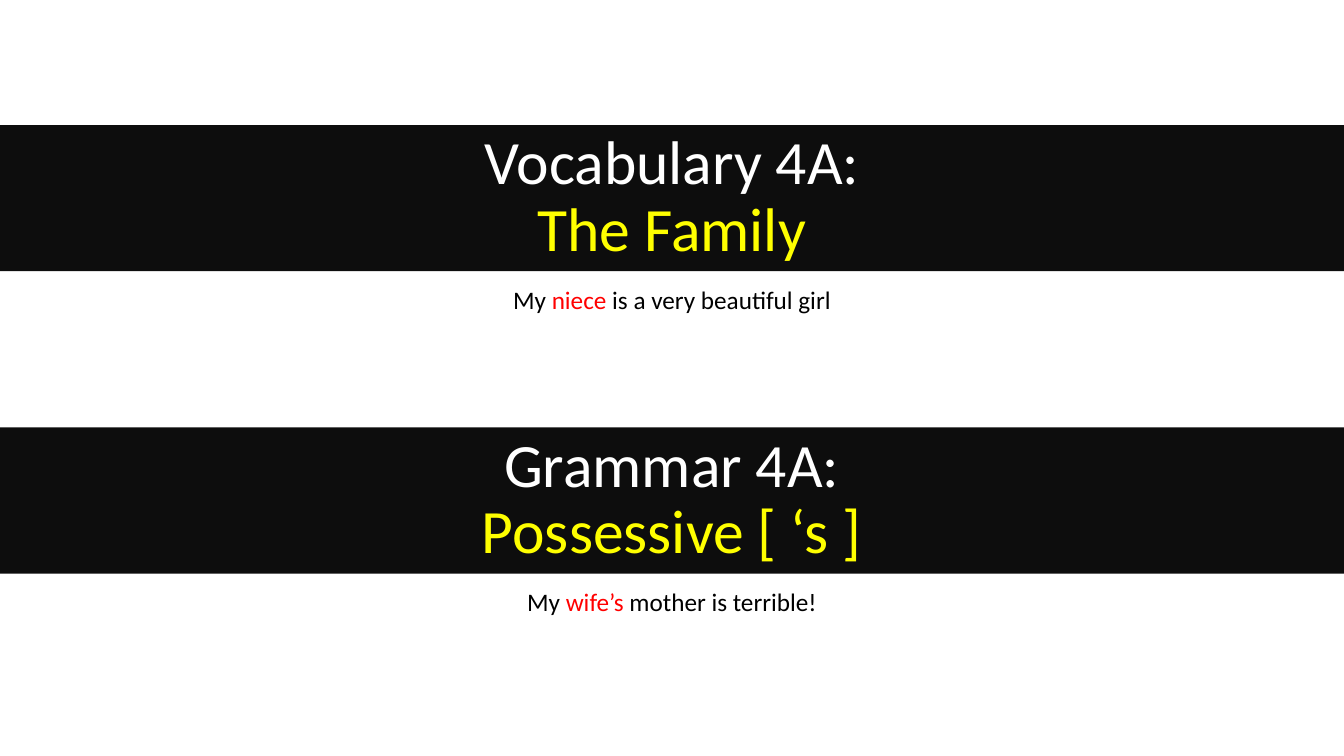
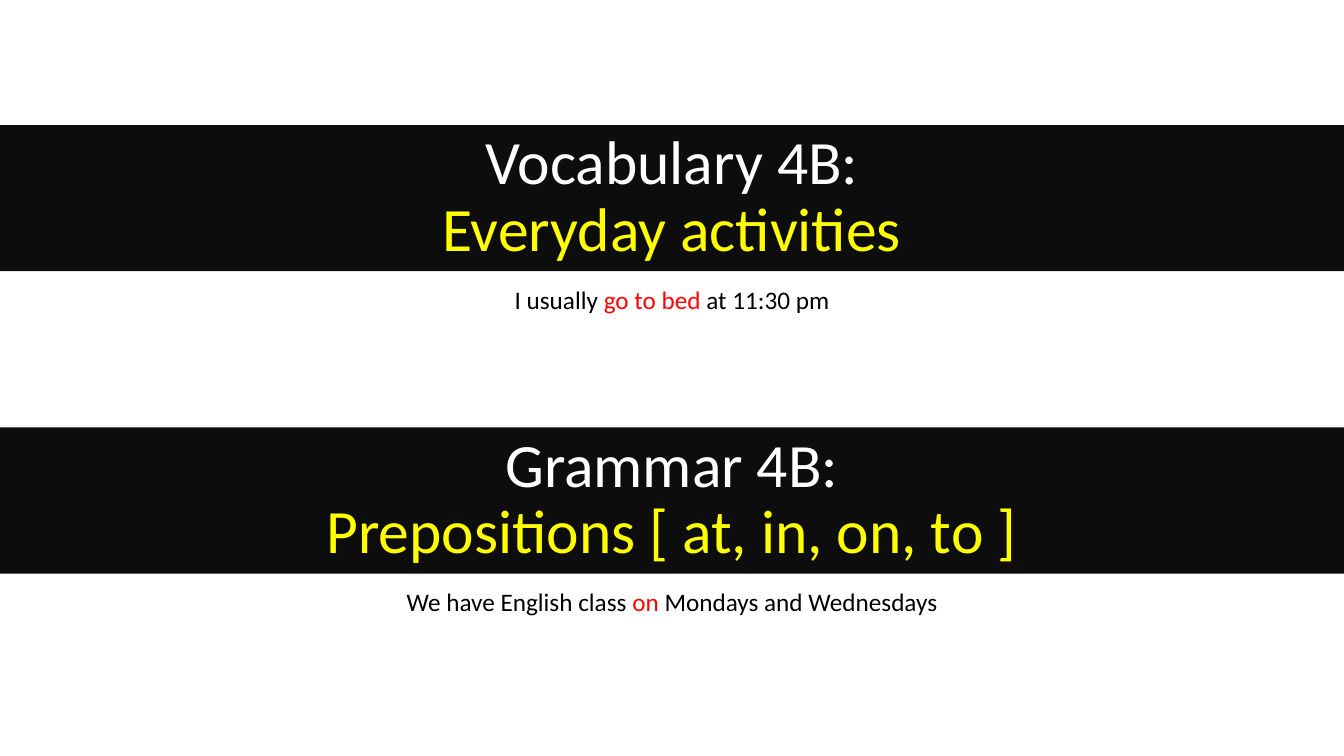
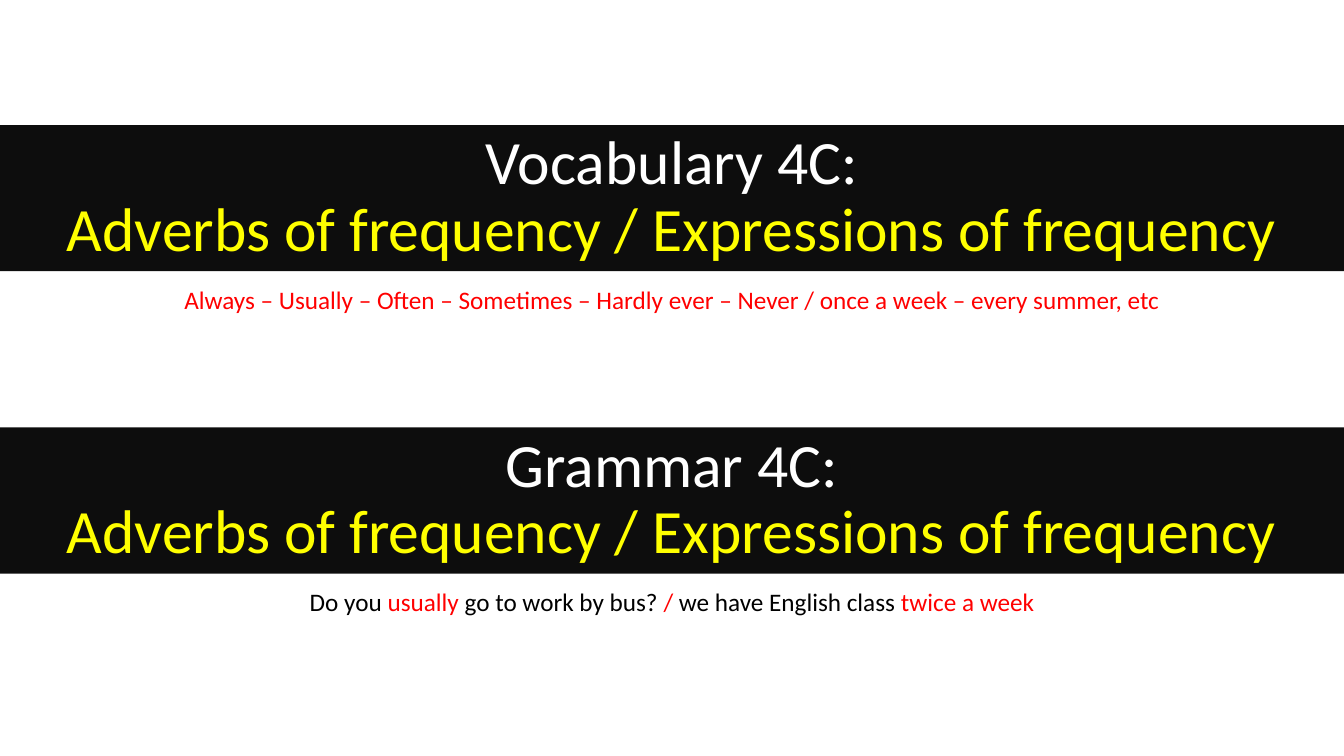
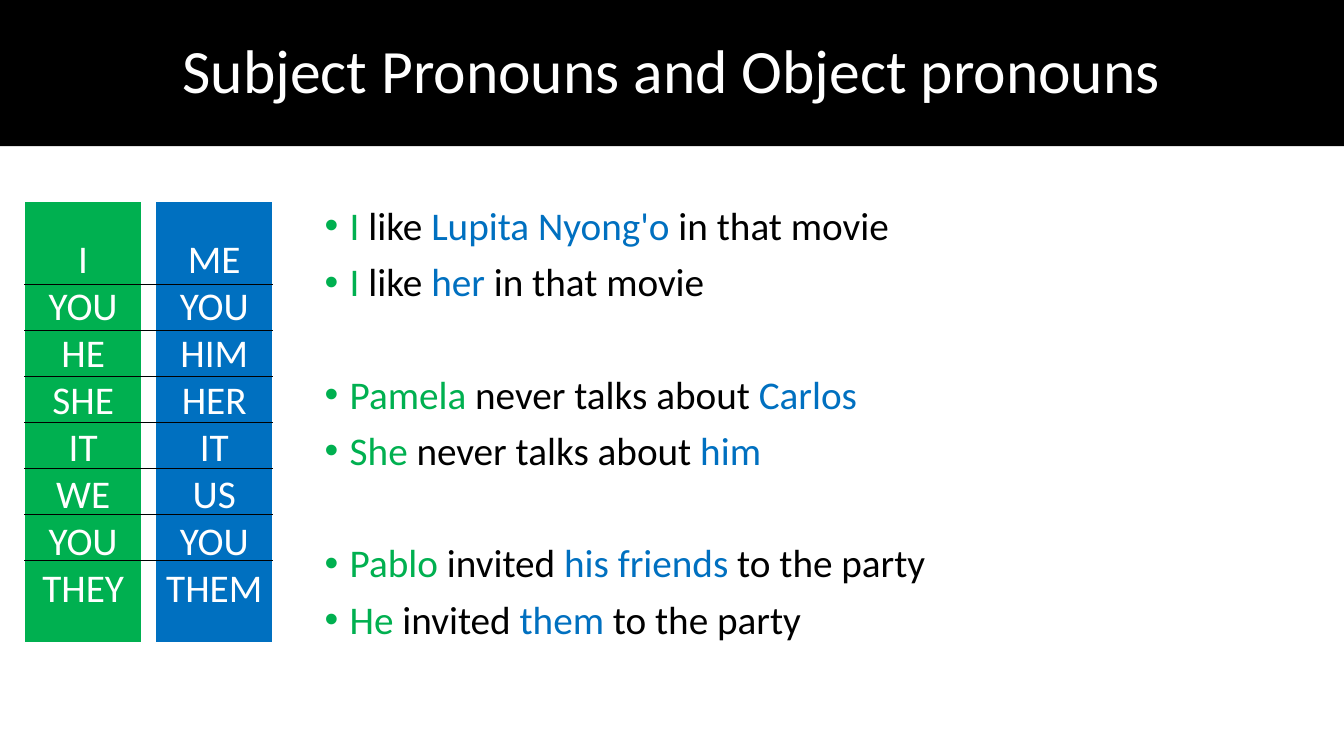
"""Builds four English lesson slides: three unit openers and a pronoun table."""
from dataclasses import dataclass
from typing import NamedTuple

from lxml import etree
from pptx import Presentation
from pptx.dml.color import RGBColor
from pptx.enum.shapes import MSO_CONNECTOR, MSO_SHAPE
from pptx.enum.text import MSO_ANCHOR, PP_ALIGN
from pptx.oxml.ns import qn
from pptx.util import Emu, Pt

RECT = MSO_SHAPE.RECTANGLE
STRAIGHT = MSO_CONNECTOR.STRAIGHT
CENTER, LEFT = PP_ALIGN.CENTER, PP_ALIGN.LEFT
MIDDLE, TOP = MSO_ANCHOR.MIDDLE, MSO_ANCHOR.TOP
EMU_PER_PX = 9144
SLIDE_W, SLIDE_H = 1333, 750
BAND_H = 145


@dataclass(frozen=True)
class Theme:
    """Colours, font and type sizes of the deck."""
    font: str = "Calibri"
    black: str = "000000"
    white: str = "FFFFFF"
    band: str = "0D0D0D"
    yellow: str = "FFFF00"
    red: str = "FF0000"
    green: str = "00B050"
    blue: str = "0070C0"
    title_pt: int = 44
    body_pt: int = 28
    caption_pt: int = 18
    tight: float = 0.9


THEME = Theme()


class Span(NamedTuple):
    """Text in one colour."""
    text: str
    color: str = THEME.black


class Box(NamedTuple):
    """Position and size in px."""
    left: int
    top: int
    width: int
    height: int


class Topic(NamedTuple):
    """A heading band and its example sentence."""
    heading: str
    subject: str
    example: list[Span]


class Column(NamedTuple):
    """A coloured column of pronouns."""
    left: int
    color: str
    words: list[str]


TOPIC_TOPS = (124, 424)
CAPTION_OFFSET, CAPTION_H = 153, 40
COLUMN_TOP, COLUMN_W, COLUMN_H = 200, 117, 438
RULE_FIRST, RULE_LAST = 282, 556
SENTENCES = Box(312, 200, 929, 476)
SENTENCE_GAP, PAIR_GAP = 10, 50
BULLET_INDENT = 25


def red(text: str) -> Span:
    """Return highlighted example text."""
    return Span(text, THEME.red)


def green(text: str) -> Span:
    """Return text marking a subject."""
    return Span(text, THEME.green)


def blue(text: str) -> Span:
    """Return text marking an object."""
    return Span(text, THEME.blue)


UNITS = [
    (Topic("Vocabulary 4A:", "The Family",
           [Span("My "), red("niece"), Span(" is a very beautiful girl")]),
     Topic("Grammar 4A:", "Possessive [ ‘s ]",
           [Span("My "), red("wife’s"), Span(" mother is terrible!")])),
    (Topic("Vocabulary 4B:", "Everyday activities",
           [Span("I usually "), red("go to bed "), Span("at 11:30 pm")]),
     Topic("Grammar 4B:", "Prepositions [ at, in, on, to ]",
           [Span("We have English class "), red("on"), Span(" Mondays and Wednesdays")])),
    (Topic("Vocabulary 4C:", "Adverbs of frequency / Expressions of frequency",
           [red("Always – Usually – Often – Sometimes – Hardly ever – Never"
                " / once a week – every summer, etc")]),
     Topic("Grammar 4C:", "Adverbs of frequency / Expressions of frequency",
           [Span("Do you "), red("usually"), Span(" go to work by bus? "), red("/"),
            Span(" we have English class "), red("twice a week")])),
]

COLUMNS = [
    Column(154, THEME.blue, ["ME", "YOU", "HIM", "HER", "IT", "US", "YOU", "THEM"]),
    Column(24, THEME.green, ["I", "YOU", "HE", "SHE", "IT", "WE", "YOU", "THEY"]),
]

SENTENCE_PAIRS = [
    ([green("I "), Span("like "), blue("Lupita Nyong'o "), Span("in that movie")],
     [green("I "), Span("like "), blue("her"), Span(" in that movie")]),
    ([green("Pamela "), Span("never talks about "), blue("Carlos")],
     [green("She "), Span("never talks about "), blue("him")]),
    ([green("Pablo "), Span("invited "), blue("his friends "), Span("to the party")],
     [green("He "), Span("invited "), blue("them"), Span(" to the party")]),
]


def px(value: int) -> Emu:
    """Convert px to EMU."""
    return Emu(value * EMU_PER_PX)


def place(box: Box) -> list[Emu]:
    """Convert a box to EMU."""
    return [px(value) for value in box]


def write(tf, lines: list[list[Span]], size: int, align=CENTER, anchor=MIDDLE,
          spacing: float = 1.0) -> None:
    """Write one paragraph of coloured spans per line."""
    tf.word_wrap = True
    tf.vertical_anchor = anchor
    for i, spans in enumerate(lines):
        p = tf.paragraphs[0] if i == 0 else tf.add_paragraph()
        p.alignment = align
        p.line_spacing = spacing
        for span in spans:
            r = p.add_run()
            r.text = span.text
            r.font.name = THEME.font
            r.font.size = Pt(size)
            r.font.color.rgb = RGBColor.from_string(span.color)


def add_panel(slide, box: Box, fill: str):
    """Add a plain filled rectangle."""
    sp = slide.shapes.add_shape(RECT, *place(box))
    sp.shadow.inherit = False
    sp.fill.solid()
    sp.fill.fore_color.rgb = RGBColor.from_string(fill)
    sp.line.fill.background()
    return sp


def add_band(slide, top: int, fill: str, lines: list[Span]) -> None:
    """Add a full-width title band."""
    sp = add_panel(slide, Box(0, top, SLIDE_W, BAND_H), fill)
    write(sp.text_frame, [[line] for line in lines], THEME.title_pt, spacing=THEME.tight)


def add_topic(slide, top: int, topic: Topic) -> None:
    """Add a topic band with its example below."""
    add_band(slide, top, THEME.band,
             [Span(topic.heading, THEME.white), Span(topic.subject, THEME.yellow)])
    caption = Box(0, top + CAPTION_OFFSET, SLIDE_W, CAPTION_H)
    sp = slide.shapes.add_textbox(*place(caption))
    write(sp.text_frame, [topic.example], THEME.caption_pt, anchor=TOP)


def add_column(slide, column: Column) -> None:
    """Add a pronoun column."""
    sp = add_panel(slide, Box(column.left, COLUMN_TOP, COLUMN_W, COLUMN_H), column.color)
    sp.line.color.rgb = RGBColor.from_string(THEME.white)
    sp.line.width = Pt(1)
    tf = sp.text_frame
    tf.margin_left = tf.margin_right = 0
    write(tf, [[Span(word, THEME.white)] for word in column.words], THEME.body_pt)


def add_rules(slide) -> None:
    """Add the evenly spaced lines between pronoun rows."""
    left = min(column.left for column in COLUMNS)
    right = max(column.left for column in COLUMNS) + COLUMN_W
    count = len(COLUMNS[0].words) - 1
    for i in range(count):
        y = px(RULE_FIRST + round((RULE_LAST - RULE_FIRST) * i / (count - 1)))
        rule = slide.shapes.add_connector(STRAIGHT, px(left), y, px(right), y)
        rule.line.color.rgb = RGBColor.from_string(THEME.black)
        rule.line.width = Pt(0.5)
        etree.SubElement(rule._element.spPr, qn("a:effectLst"))


def add_bullet(p, color: str) -> None:
    """Give a paragraph a hanging coloured bullet."""
    ppr = p._p.get_or_add_pPr()
    ppr.set("marL", str(px(BULLET_INDENT)))
    ppr.set("indent", str(-px(BULLET_INDENT)))
    bu_color = etree.SubElement(ppr, qn("a:buClr"))
    etree.SubElement(bu_color, qn("a:srgbClr"), val=color)
    etree.SubElement(ppr, qn("a:buFont"), typeface="Arial")
    etree.SubElement(ppr, qn("a:buChar"), char="•")


def add_sentences(slide) -> None:
    """Add the bulleted sentence pairs."""
    tf = slide.shapes.add_textbox(*place(SENTENCES)).text_frame
    lines = [line for pair in SENTENCE_PAIRS for line in pair]
    write(tf, lines, THEME.body_pt, LEFT, TOP, THEME.tight)
    for i, p in enumerate(tf.paragraphs):
        if i:
            p.space_before = Pt(SENTENCE_GAP if i % 2 else PAIR_GAP)
        add_bullet(p, THEME.green)


def main() -> None:
    """Build and save the deck."""
    prs = Presentation()
    prs.slide_width, prs.slide_height = px(SLIDE_W), px(SLIDE_H)
    blank = prs.slide_layouts[6]
    for unit in UNITS:
        slide = prs.slides.add_slide(blank)
        for top, topic in zip(TOPIC_TOPS, unit):
            add_topic(slide, top, topic)
    slide = prs.slides.add_slide(blank)
    add_band(slide, 0, THEME.black, [Span("Subject Pronouns and Object pronouns", THEME.white)])
    add_sentences(slide)
    for column in COLUMNS:
        add_column(slide, column)
    add_rules(slide)
    prs.save("out.pptx")


if __name__ == "__main__":
    main()
